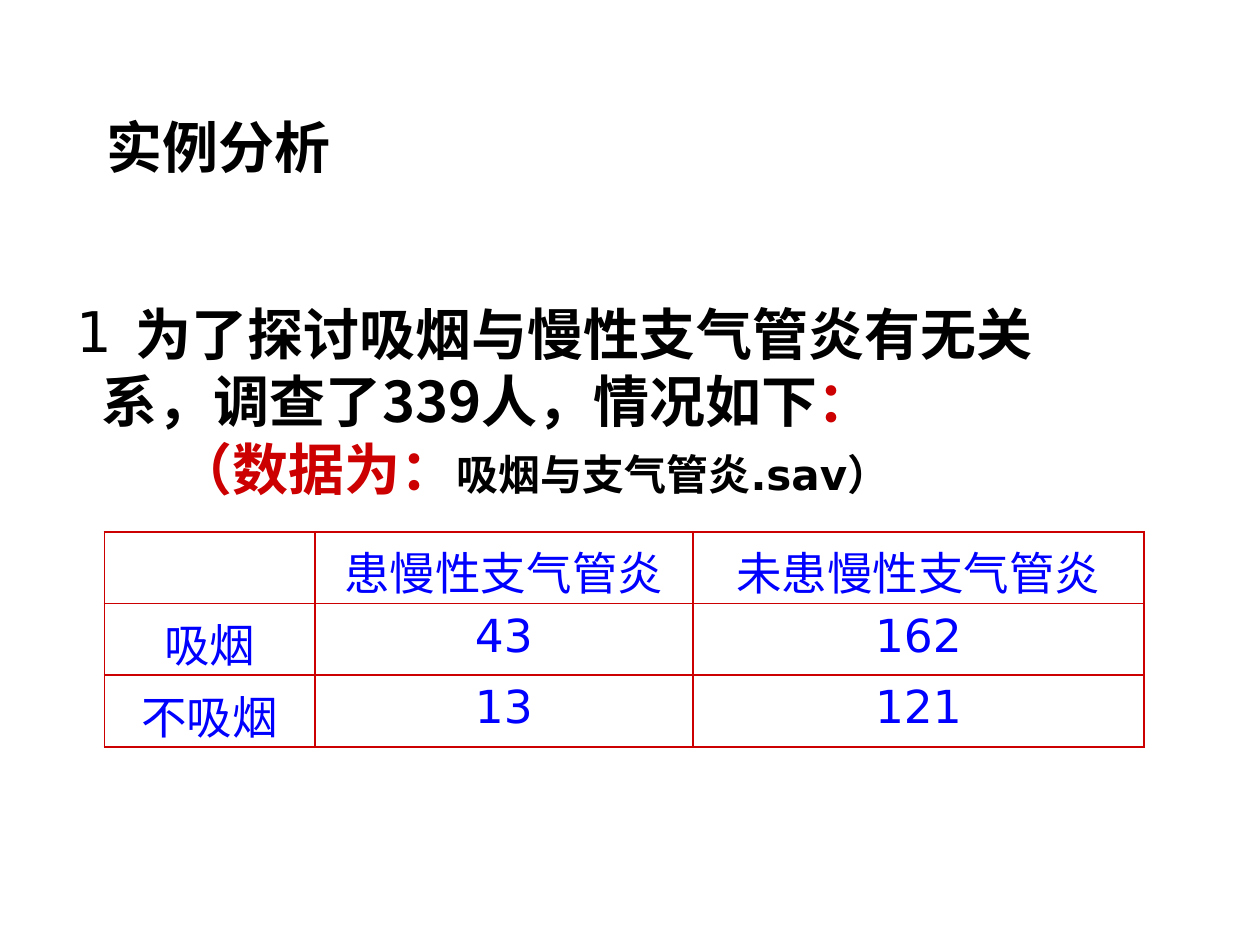
import pptx
import pptx.util
import pptx.dml.color
import pptx.enum.text
import pptx.oxml.ns
from lxml import etree
from pptx.util import Inches

COLORS = {"ink": "000000", "red": "CC0000", "blue": "0000FF", "paper": "FFFFFF"}
CJK = "Noto Sans CJK SC"
SANS = "DejaVu Sans"


def add_xml(parent, tag, **attributes):
    return etree.SubElement(parent, pptx.oxml.ns.qn(tag), **attributes)


def write(paragraph, text, size=32, font=CJK, color="ink", bold=True):
    run = paragraph.add_run()
    run.text = text
    run.font.size = pptx.util.Pt(size)
    run.font.name = font
    run.font.bold = bold
    run.font.color.rgb = pptx.dml.color.RGBColor.from_string(COLORS[color])


presentation = pptx.Presentation()
presentation.slide_width = Inches(10)
presentation.slide_height = Inches(7.5)
slide = presentation.slides.add_slide(presentation.slide_layouts[6])

question = slide.shapes.add_textbox(Inches(0.51), Inches(2.33), Inches(8.9), Inches(1.7)).text_frame
question.word_wrap = True
question_lines = [
    (0.47, [("为了探讨吸烟与慢性支气管炎有无关", {})]),
    (0.2, [("系，调查了339人，情况如下", {}), ("：", {"color": "red"})]),
    (0.79, [("（数据为：", {"color": "red"}), ("吸烟与支气管炎.sav）", {"size": 24, "font": SANS})]),
]
for number, (margin, parts) in enumerate(question_lines):
    line = question.paragraphs[0] if number == 0 else question.add_paragraph()
    properties = line._p.get_or_add_pPr()
    properties.set("marL", str(Inches(margin)))
    properties.set("indent", str(-Inches(margin) if number == 0 else 0))
    if number == 0:
        add_xml(properties, "a:buFont", typeface=SANS)
        add_xml(properties, "a:buChar", char="1")
    for text, style in parts:
        write(line, text, **style)

survey = [
    ["", "患慢性支气管炎", "未患慢性支气管炎"],
    ["吸烟", "43", "162"],
    ["不吸烟", "13", "121"],
]
table = slide.shapes.add_table(3, 3, Inches(0.83), Inches(4.22), Inches(8.25), Inches(1.7)).table
for column, width in zip(table.columns, (1.67, 3, 3.58)):
    column.width = Inches(width)
for row, values in zip(table.rows, survey):
    row.height = Inches(0.57)
    for cell, value in zip(row.cells, values):
        cell.margin_bottom = 0
        if value:
            entry = cell.text_frame.paragraphs[0]
            entry.alignment = pptx.enum.text.PP_ALIGN.CENTER
            write(entry, value, size=26, font=SANS, color="blue", bold=False)
        borders = cell._tc.get_or_add_tcPr()
        for side in ("a:lnL", "a:lnR", "a:lnT", "a:lnB"):
            border = add_xml(borders, side, w=str(pptx.util.Pt(1.08)))
            add_xml(add_xml(border, "a:solidFill"), "a:srgbClr", val=COLORS["red"])
        cell.fill.solid()
        cell.fill.fore_color.rgb = pptx.dml.color.RGBColor.from_string(COLORS["paper"])

heading = slide.shapes.add_textbox(Inches(0.75), Inches(0.84), Inches(1.98), Inches(0.64)).text_frame
heading.word_wrap = False
write(heading.paragraphs[0], "实例分析", font="Times New Roman")

presentation.save("out.pptx")
